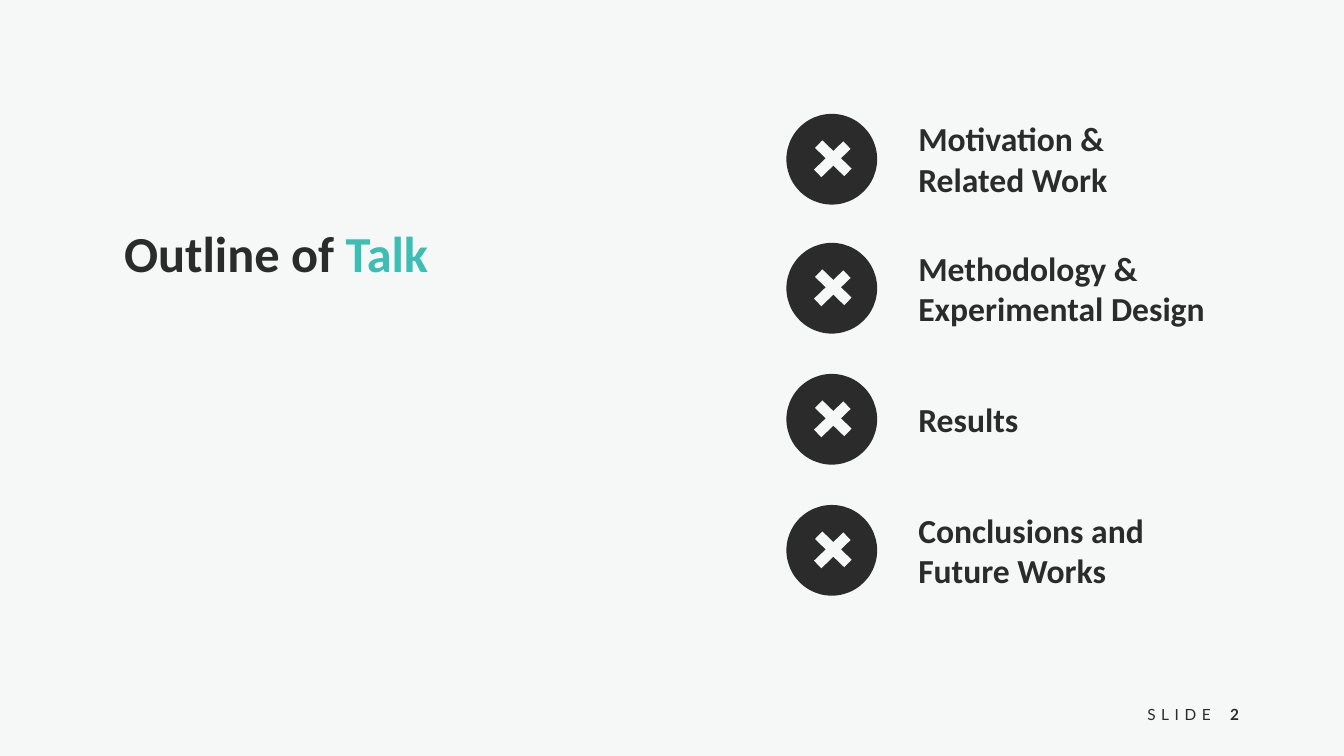
from lxml import etree
from pptx import Presentation
from pptx.dml.color import RGBColor
from pptx.enum.shapes import MSO_CONNECTOR, MSO_SHAPE
from pptx.enum.text import MSO_ANCHOR, PP_ALIGN
from pptx.oxml.ns import qn
from pptx.util import Inches, Pt

STRAIGHT = MSO_CONNECTOR.STRAIGHT
OVAL = MSO_SHAPE.OVAL
TOP, MIDDLE = MSO_ANCHOR.TOP, MSO_ANCHOR.MIDDLE
LEFT, CENTER = PP_ALIGN.LEFT, PP_ALIGN.CENTER

COLORS = {"paper": "F6F8F8", "ink": "2B2B2B", "accent": "3CBEB4"}


def color(name):
    return RGBColor.from_string(COLORS[name])


def write(box, runs, size, font="Calibri", bold=True, align=LEFT, anchor=TOP, wrap=True):
    frame = box.text_frame
    frame.word_wrap = wrap
    frame.vertical_anchor = anchor
    para = frame.paragraphs[0]
    para.alignment = align
    for text, tint in runs:
        span = para.add_run()
        span.text = text
        span.font.name = font
        span.font.size = Pt(size)
        span.font.bold = bold
        span.font.color.rgb = color(tint)
    return para


deck = Presentation()
deck.slide_width, deck.slide_height = Inches(13.33), Inches(7.5)
page = deck.slides.add_slide(deck.slide_layouts[5])
page.background.fill.solid()
page.background.fill.fore_color.rgb = color("paper")

# Title
title = page.shapes.title
title.left, title.top = Inches(1.13), Inches(2.15)
title.width, title.height = Inches(5.52), Inches(0.71)
write(title, [("Outline of ", "ink"), ("Talk", "accent")], 36)

# Outline items: top of badge, text, text width, text height
items = [
    (1.13, "Motivation & Related Work", 2.9, 0.91),
    (2.41, "Methodology & Experimental Design", 3.19, 0.91),
    (3.71, "Results", 2.9, 0.5),
    (5.01, "Conclusions and Future Works", 2.9, 0.91),
]
badge_left, badge_size = 7.8, 0.9
cross_strokes = [((0.6, 0.31), (0.31, 0.59)), ((0.61, 0.58), (0.32, 0.3))]

for top, text, width, height in items:
    group = page.shapes.add_group_shape()

    # Round badge
    badge = group.shapes.add_shape(
        OVAL, Inches(badge_left), Inches(top), Inches(badge_size), Inches(badge_size))
    badge.shadow.inherit = False
    badge.fill.solid()
    badge.fill.fore_color.rgb = color("ink")
    badge.line.fill.background()

    # Cross inside the badge
    for (x1, y1), (x2, y2) in cross_strokes:
        stroke = group.shapes.add_connector(
            STRAIGHT, Inches(badge_left + x1), Inches(top + y1),
            Inches(badge_left + x2), Inches(top + y2))
        stroke.line.color.rgb = color("paper")
        stroke.line.width = Pt(7.5)
        etree.SubElement(stroke.element.spPr, qn("a:effectLst"))

    # Label, centred on the badge
    label_top = top + (badge_size - height) / 2
    label = group.shapes.add_textbox(
        Inches(9.01), Inches(label_top), Inches(width), Inches(height))
    write(label, [(text, "ink")], 24)

# Footer
footer = page.shapes.add_textbox(Inches(11.26), Inches(6.95), Inches(0.87), Inches(0.29))
footer_para = write(footer, [("SLIDE", "ink")], 11, "Lato", bold=False, align=CENTER, wrap=False)
footer_para.runs[0].font._element.set("spc", "400")

number = page.shapes.add_textbox(Inches(12.01), Inches(6.86), Inches(0.47), Inches(0.45))
write(number, [("2", "ink")], 11, "Lato", align=CENTER, anchor=MIDDLE)

deck.save("out.pptx")
